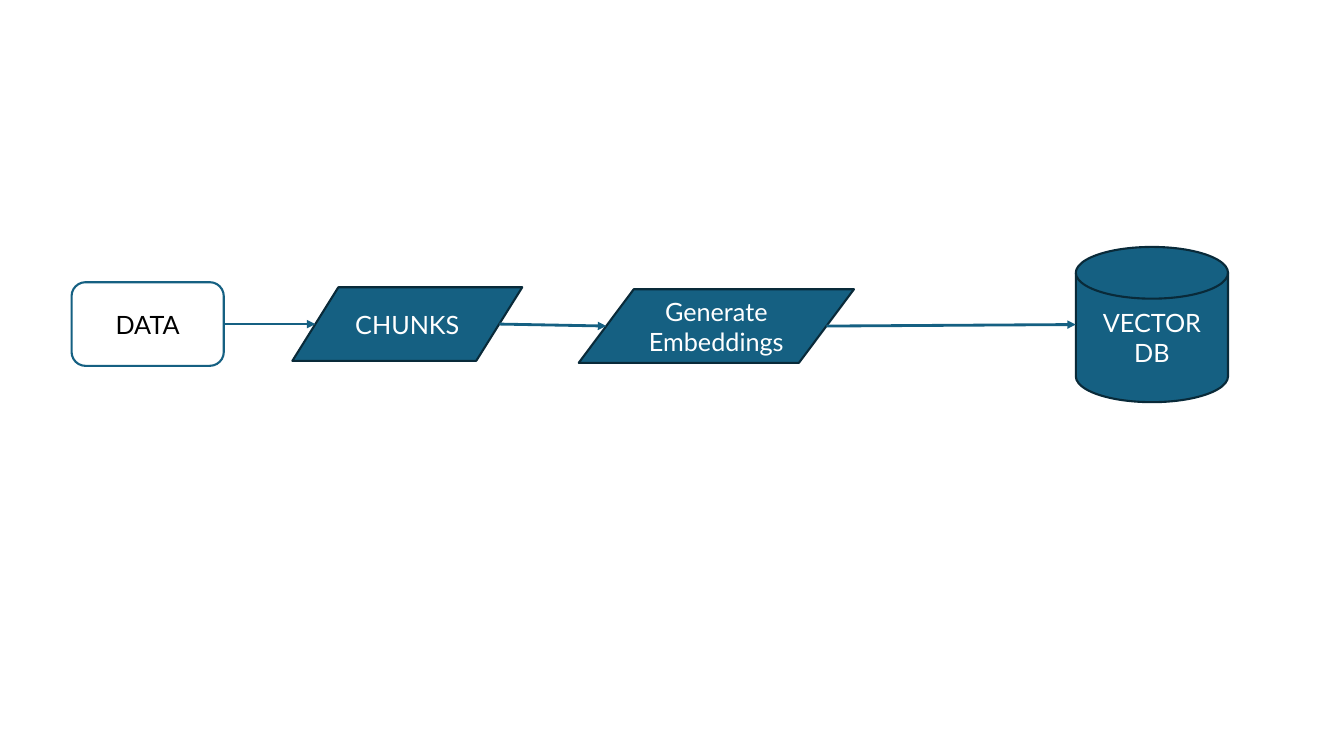
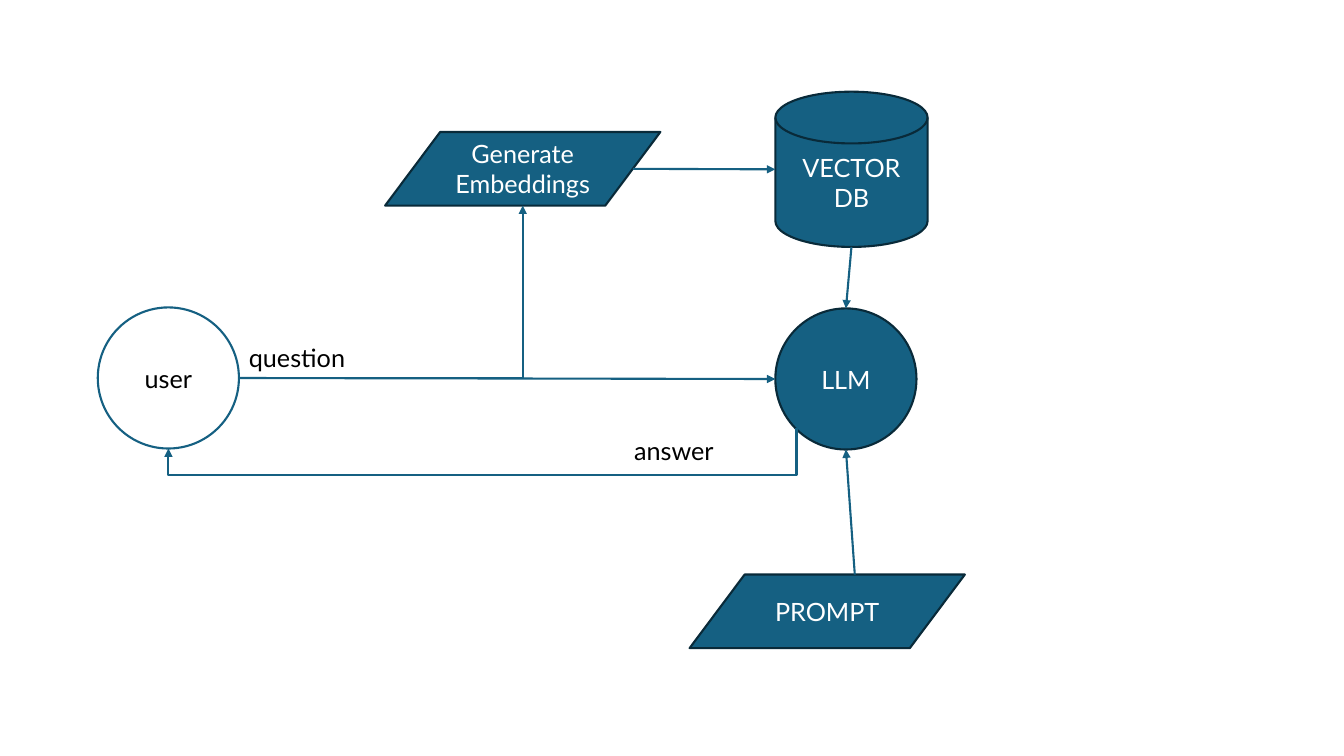
from lxml import etree
from pptx import Presentation
from pptx.dml.color import RGBColor
from pptx.enum import shapes, text
from pptx.oxml import ns
from pptx.util import Pt

PX = 9144  # EMU per px, 100 px to the inch
SLIDE_W, SLIDE_H = 1333, 750

TEAL = RGBColor(0x15, 0x60, 0x82)
NAVY = RGBColor(0x09, 0x2A, 0x39)
WHITE = RGBColor(0xFF, 0xFF, 0xFF)
BLACK = RGBColor(0, 0, 0)
FONT = "Lato"

KIND = shapes.MSO_SHAPE
LINE = shapes.MSO_CONNECTOR
DISK_SIZE = (151, 154)
STEP_SIZE = (273, 73)
CIRCLE_SIZE = (140, 140)

# Connection points as shares of a node's width and height
TOP, BOTTOM, LEFT, RIGHT = (0.5, 0), (0.5, 1), (0, 0.5), (1, 0.5)
SLANT_LEFT, SLANT_RIGHT, SLANT_TOP = (0.1, 0.5), (0.9, 0.5), (0.6, 0)


def emu(*lengths):
    return [round(n * PX) for n in lengths]


def write(tf, content, color=BLACK, size=18, align=text.PP_ALIGN.LEFT,
          anchor=text.MSO_ANCHOR.TOP, wrap=False):
    tf.word_wrap = wrap
    tf.vertical_anchor = anchor
    p = tf.paragraphs[0]
    p.alignment = align
    r = p.add_run()
    r.text = content
    r.font.name = FONT
    r.font.size = Pt(size)
    r.font.color.rgb = color


def add_node(s, kind, content, x, y, size, filled=True):
    sp = s.shapes.add_shape(kind, *emu(x, y, *size))
    sp.shadow.inherit = False
    sp.fill.solid()
    sp.fill.fore_color.rgb = TEAL if filled else WHITE
    sp.line.color.rgb = NAVY if filled else TEAL
    sp.line.width = Pt(1.5)
    write(sp.text_frame, content, color=WHITE if filled else BLACK,
          align=text.PP_ALIGN.CENTER, anchor=text.MSO_ANCHOR.MIDDLE, wrap=True)
    return sp


def add_step(s, content, x, y, size=STEP_SIZE):
    return add_node(s, KIND.FLOWCHART_DATA, content, x, y, size)


def add_database(s, x, y):
    return add_node(s, KIND.FLOWCHART_MAGNETIC_DISK, "VECTOR DB", x, y, DISK_SIZE)


def add_label(s, content, x, y, w):
    tb = s.shapes.add_textbox(*emu(x, y, w, 40))
    write(tb.text_frame, content)


def point(sp, share):
    return (round(sp.left + sp.width * share[0]),
            round(sp.top + sp.height * share[1]))


def add_arrow(s, start, end, width=1.5, kind=LINE.STRAIGHT):
    cxn = s.shapes.add_connector(kind, *start, *end)
    cxn.line.color.rgb = TEAL
    cxn.line.width = Pt(width)
    etree.SubElement(cxn.line._get_or_add_ln(), ns.qn("a:tailEnd"), type="triangle")
    etree.SubElement(cxn._element.spPr, ns.qn("a:effectLst"))
    return cxn


def add_corner_arrow(s, start, end):
    """Arrow with a single bend."""
    cxn = add_arrow(s, start, end, kind=LINE.ELBOW)
    cxn._element.spPr.find(ns.qn("a:prstGeom")).set("prst", "bentConnector2")


def add_return_arrow(s, start, end, drop):
    """Arrow that runs down by drop, then left, then up to its end."""
    run, rise = start[0] - end[0], end[1] - start[1]
    mid_x, mid_y = (start[0] + end[0]) // 2, (start[1] + end[1]) // 2
    x, y = mid_x - rise // 2, mid_y - run // 2
    cxn = add_arrow(s, (x, y), (x + rise, y + run), kind=LINE.ELBOW)
    sp_pr = cxn._element.spPr
    sp_pr.find(ns.qn("a:xfrm")).set("rot", str(90 * 60000))
    guides = sp_pr.find(ns.qn("a:prstGeom")).find(ns.qn("a:avLst"))
    etree.SubElement(guides, ns.qn("a:gd"), name="adj1",
                     fmla=f"val {round(drop / rise * 100000)}")


def add_indexing_flow(s, x, y):
    """Row of steps that turns data into stored vectors."""
    data = add_node(s, KIND.FLOWCHART_ALTERNATE_PROCESS, "DATA", x, y + 35,
                    (151, 83), filled=False)
    chunks = add_step(s, "CHUNKS", x + 219, y + 40, (228, 73))
    embed = add_step(s, "Generate Embeddings", x + 503, y + 42)
    db = add_database(s, x + 996, y)

    # Arrows between neighbours
    first = add_arrow(s, point(data, RIGHT), point(chunks, SLANT_LEFT), 2)
    first.begin_connect(data, 3)
    add_arrow(s, point(chunks, SLANT_RIGHT), point(embed, SLANT_LEFT), 2)
    add_arrow(s, point(embed, SLANT_RIGHT), point(db, LEFT), 2)


def add_question_flow(s, x, y):
    """Path of a question from the user to the model and back."""
    db = add_database(s, x + 672, y)
    user = add_node(s, KIND.OVAL, "user", x, y + 214, CIRCLE_SIZE, filled=False)
    embed = add_step(s, "Generate Embeddings", x + 285, y + 40)
    prompt = add_step(s, "PROMPT", x + 587, y + 479)
    llm = add_node(s, KIND.OVAL, "LLM", x + 672, y + 215, CIRCLE_SIZE)

    # Question
    add_corner_arrow(s, point(user, RIGHT), point(embed, BOTTOM))
    add_arrow(s, point(embed, SLANT_RIGHT), point(db, LEFT))
    add_arrow(s, point(user, RIGHT), point(llm, LEFT))
    add_label(s, "question", x + 140, y + 244, 116)

    # Context and prompt
    add_arrow(s, point(prompt, SLANT_TOP), point(llm, TOP[:1] + BOTTOM[1:]))
    add_arrow(s, point(db, BOTTOM), point(llm, TOP))

    # Answer, leaving the lower left of the circle
    add_return_arrow(s, point(llm, (0.15, 0.85)), point(user, BOTTOM), 46 * PX)
    add_label(s, "answer", x + 522, y + 336, 99)


def main():
    prs = Presentation()
    prs.slide_width, prs.slide_height = emu(SLIDE_W, SLIDE_H)
    for add_flow, x, y in ((add_indexing_flow, 71, 245), (add_question_flow, 97, 91)):
        add_flow(prs.slides.add_slide(prs.slide_layouts[6]), x, y)
    prs.save("out.pptx")


if __name__ == "__main__":
    main()
